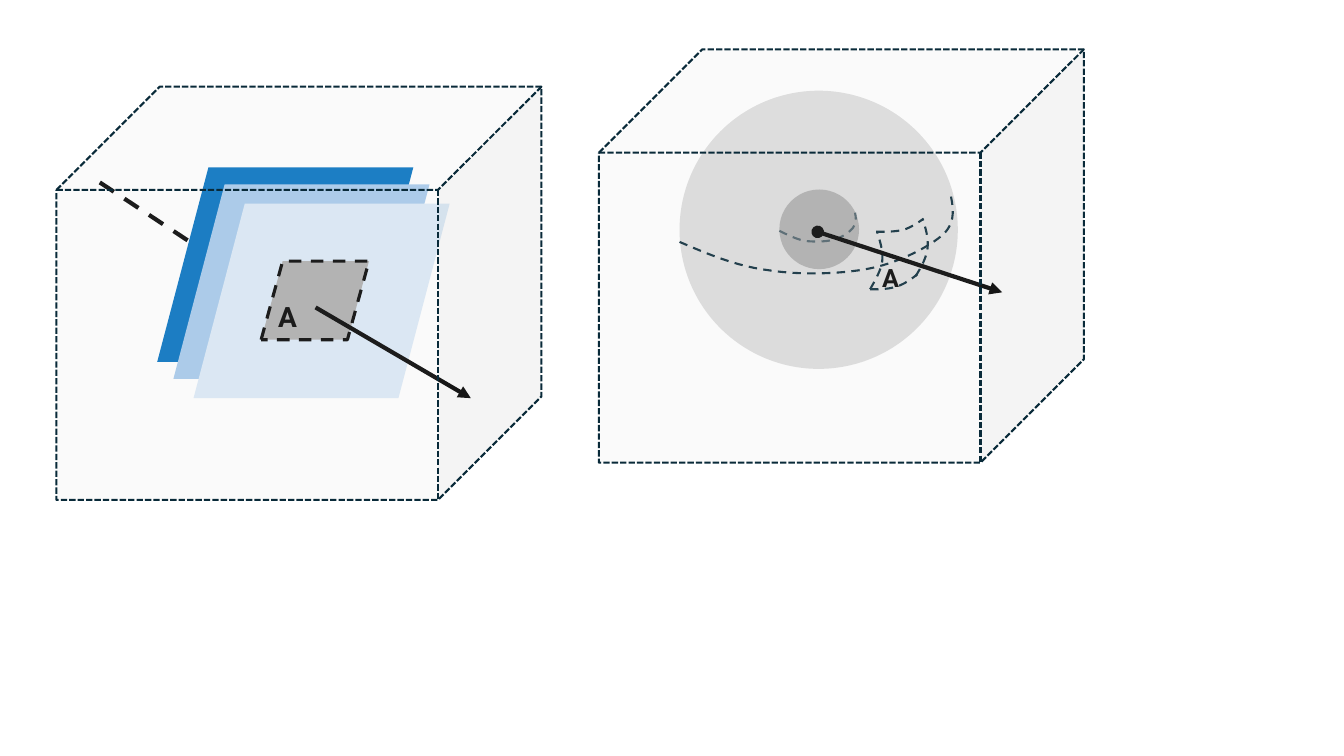
import dataclasses
import typing

import lxml.etree
import pptx
import pptx.dml.color
import pptx.enum.dml
import pptx.enum.shapes
import pptx.enum.text
import pptx.oxml.ns
import pptx.shapes.shapetree
import pptx.util

Inches = pptx.util.Inches
Kind = pptx.enum.shapes.MSO_SHAPE
Dash = pptx.enum.dml.MSO_LINE
Point = tuple[float, float]
Group = pptx.shapes.shapetree.GroupShapes


@dataclasses.dataclass(frozen=True)
class Theme:
    ink: str = "000000"
    outline: str = "092A39"
    glass: str = "D9D9D9"
    grey: str = "AEAEAE"
    deep_blue: str = "0070C0"
    mid_blue: str = "A6CAEC"
    pale_blue: str = "DCEAF7"
    font: str = "Roboto"
    area_size: float = 20
    patch_size: float = 18


THEME = Theme()


@dataclasses.dataclass(frozen=True)
class Stroke:
    color: str
    width: float
    dash: typing.Any = None


RAY = Stroke(THEME.ink, 3)
HIDDEN_RAY = Stroke(THEME.ink, 3, Dash.DASH)
AREA_EDGE = Stroke(THEME.ink, 2.25, Dash.DASH)
CONTOUR = Stroke(THEME.outline, 1.5, Dash.DASH)
CUBE_EDGE = Stroke(THEME.outline, 1.5, Dash.SQUARE_DOT)


@dataclasses.dataclass(frozen=True)
class Solid:
    kind: typing.Any
    left: float
    top: float
    width: float
    height: float
    fill: str
    opacity: int = 100
    stroke: Stroke | None = None


@dataclasses.dataclass(frozen=True)
class Ray:
    start: Point
    end: Point
    stroke: Stroke = RAY
    head: str | None = None
    tail: str | None = "triangle"


@dataclasses.dataclass(frozen=True)
class Curve:
    points: tuple[Point, ...]


@dataclasses.dataclass(frozen=True)
class Label:
    left: float
    top: float
    width: float
    height: float
    text: str
    size: float


def plane(left: float, top: float, fill: str) -> Solid:
    return Solid(Kind.FLOWCHART_DATA, left, top, 2.54, 1.93, fill)


def disc(left: float, top: float, size: float, opacity: int = 100) -> Solid:
    return Solid(Kind.OVAL, left, top, size, size, THEME.grey, opacity)


def cube(left: float, top: float) -> Solid:
    return Solid(Kind.CUBE, left, top, 4.81, 4.1, THEME.glass, 13, CUBE_EDGE)


PLANE_WAVE = (
    Ray((0.99, 1.81), (2.46, 2.78), HIDDEN_RAY, tail=None),
    plane(1.56, 1.66, THEME.deep_blue),
    plane(1.72, 1.83, THEME.mid_blue),
    plane(1.92, 2.02, THEME.pale_blue),
    Solid(Kind.FLOWCHART_DATA, 2.59, 2.59, 1.07, 0.78, THEME.grey, stroke=AREA_EDGE),
    Ray((3.13, 3.05), (4.67, 3.95)),
    Label(2.66, 2.92, 0.38, 0.44, "A", THEME.area_size),
    cube(0.56, 0.86),
)

SPHERICAL_WAVE = (
    disc(7.73, 1.88, 0.79),
    Curve(((7.73, 2.29), (7.81, 2.33), (7.89, 2.37), (7.98, 2.39),
           (8.07, 2.4), (8.18, 2.4), (8.26, 2.38), (8.35, 2.36),
           (8.43, 2.3), (8.46, 2.26), (8.5, 2.21), (8.49, 2.16), (8.48, 2.11))),
    disc(6.74, 0.9, 2.76, 42),
    Curve(((6.74, 2.4), (7.02, 2.52), (7.3, 2.64), (7.62, 2.68),
           (7.93, 2.73), (8.35, 2.72), (8.64, 2.66), (8.93, 2.6),
           (9.23, 2.44), (9.36, 2.32), (9.49, 2.19), (9.45, 2.04), (9.42, 1.89))),
    Curve(((8.69, 2.3), (8.78, 2.3), (8.88, 2.3), (8.96, 2.28),
           (9.04, 2.26), (9.16, 2.17), (9.16, 2.17))),
    Curve(((8.63, 2.87), (8.68, 2.78), (8.74, 2.68), (8.75, 2.59),
           (8.76, 2.49), (8.73, 2.4), (8.7, 2.3))),
    Curve(((9.08, 2.74), (9.14, 2.65), (9.19, 2.55), (9.2, 2.46),
           (9.21, 2.36), (9.18, 2.26), (9.15, 2.17))),
    Curve(((8.63, 2.87), (8.72, 2.87), (8.82, 2.87), (8.9, 2.84),
           (8.98, 2.82), (9.1, 2.72), (9.1, 2.72))),
    Label(8.65, 2.55, 0.36, 0.4, "A", THEME.patch_size),
    Ray((8.11, 2.3), (9.94, 2.9), head="oval"),
    cube(5.94, 0.49),
)


def add_tag(parent: typing.Any, tag: str, **values: str) -> typing.Any:
    return lxml.etree.SubElement(parent, pptx.oxml.ns.qn(tag), values)


def rgb(color: str) -> pptx.dml.color.RGBColor:
    return pptx.dml.color.RGBColor.from_string(color)


def apply_stroke(line: typing.Any, stroke: Stroke | None) -> None:
    if stroke is None:
        line.fill.background()
        return
    line.color.rgb = rgb(stroke.color)
    line.width = pptx.util.Pt(stroke.width)
    if stroke.dash is not None:
        line.dash_style = stroke.dash


def draw_solid(group: Group, solid: Solid) -> None:
    bounds = map(Inches, (solid.left, solid.top, solid.width, solid.height))
    shape = group.add_shape(solid.kind, *bounds)
    shape.shadow.inherit = False
    shape.fill.solid()
    shape.fill.fore_color.rgb = rgb(solid.fill)
    if solid.opacity < 100:
        color = shape.element.spPr.find(".//" + pptx.oxml.ns.qn("a:srgbClr"))
        add_tag(color, "a:alpha", val=str(solid.opacity * 1000))
    apply_stroke(shape.line, solid.stroke)


def draw_ray(group: Group, ray: Ray) -> None:
    connector = group.add_connector(
        pptx.enum.shapes.MSO_CONNECTOR.STRAIGHT, *map(Inches, ray.start + ray.end)
    )
    apply_stroke(connector.line, ray.stroke)
    properties = connector.element.spPr
    outline = properties.find(pptx.oxml.ns.qn("a:ln"))
    for tag, end in (("a:headEnd", ray.head), ("a:tailEnd", ray.tail)):
        if end:
            add_tag(outline, tag, type=end)
    add_tag(properties, "a:effectLst")


def draw_curve(group: Group, curve: Curve) -> None:
    points = [(Inches(x), Inches(y)) for x, y in curve.points]
    builder = group.build_freeform(*points[0])
    builder.add_line_segments(points[3::3], close=False)
    shape = builder.convert_to_shape()
    shape.shadow.inherit = False
    shape.fill.background()
    apply_stroke(shape.line, CONTOUR)
    straight = pptx.oxml.ns.qn("a:lnTo")
    outline = shape.element.spPr.find(".//" + straight).getparent()
    for segment in outline.findall(straight):
        outline.remove(segment)
    for first in range(1, len(points), 3):
        bend = add_tag(outline, "a:cubicBezTo")
        for x, y in points[first:first + 3]:
            add_tag(bend, "a:pt", x=str(x - shape.left), y=str(y - shape.top))


def draw_label(group: Group, label: Label) -> None:
    bounds = map(Inches, (label.left, label.top, label.width, label.height))
    frame = group.add_textbox(*bounds).text_frame
    frame.word_wrap = False
    frame.auto_size = pptx.enum.text.MSO_AUTO_SIZE.SHAPE_TO_FIT_TEXT
    span = frame.paragraphs[0].add_run()
    span.text = label.text
    span.font.name = THEME.font
    span.font.size = pptx.util.Pt(label.size)
    span.font.bold = True
    span.font.color.rgb = rgb(THEME.ink)


DRAWERS = {Solid: draw_solid, Ray: draw_ray, Curve: draw_curve, Label: draw_label}


def main() -> None:
    deck = pptx.Presentation()
    deck.slide_width, deck.slide_height = Inches(13.33), Inches(7.5)
    page = deck.slides.add_slide(deck.slide_layouts[6])
    for figure in (PLANE_WAVE, SPHERICAL_WAVE):
        group = page.shapes.add_group_shape().shapes
        for element in figure:
            DRAWERS[type(element)](group, element)
    deck.save("out.pptx")


if __name__ == "__main__":
    main()
